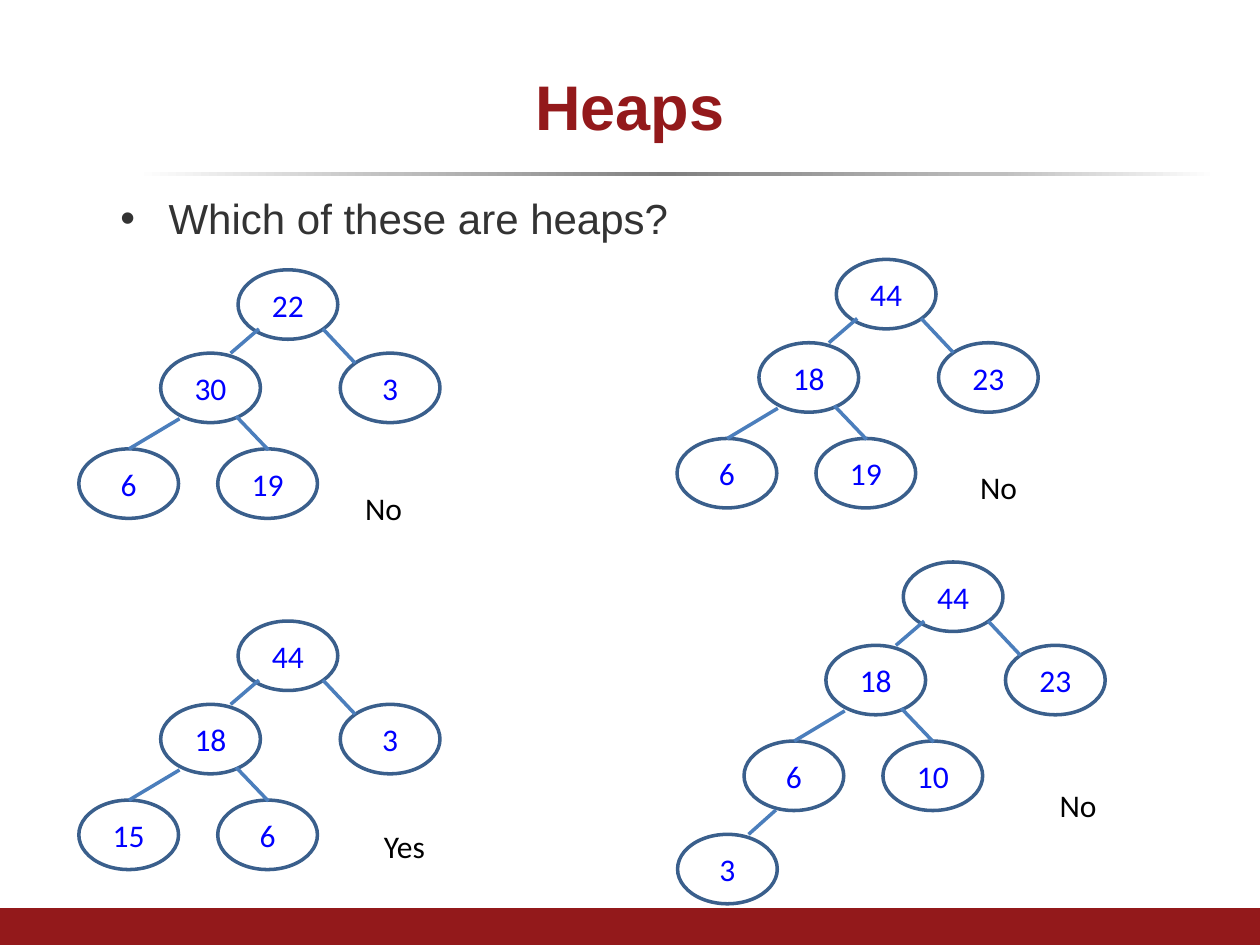
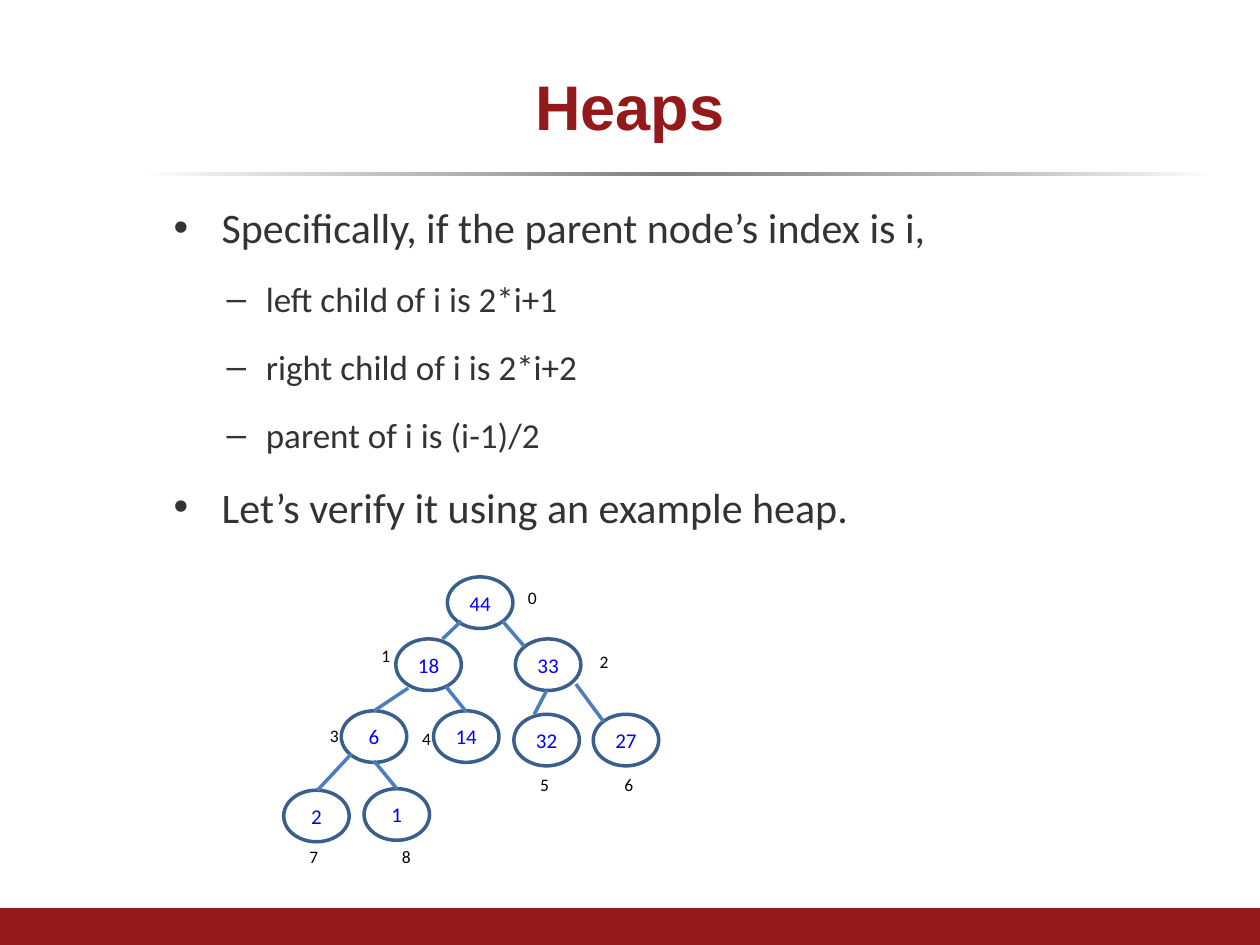
from dataclasses import dataclass
from lxml.etree import SubElement
from pptx import Presentation
from pptx.dml.color import RGBColor
from pptx.enum.shapes import MSO_CONNECTOR, MSO_SHAPE
from pptx.enum.text import MSO_ANCHOR, PP_ALIGN
from pptx.oxml.ns import qn
from pptx.util import Cm, Pt


@dataclass(frozen=True)
class Theme:
    crimson: str = "93191B"
    body: str = "333333"
    black: str = "000000"
    node_text: str = "0000FF"
    node_line: str = "3A5F8C"
    edge: str = "4B7EBC"
    rule: tuple = ((0, "FFFFFF"), (24, "BFBFBF"), (49, "808080"),
                   (80, "BFBFBF"), (100, "FFFFFF"))
    heading_font: str = "Arial"
    text_font: str = "Calibri"
    title: int = 36
    bullet: int = 24
    sub_bullet: int = 20
    verdict: int = 18
    small_node: int = 12
    index: int = 10
    stroke: int = 2


theme = Theme()


def add_text(slide, box, lines, size, color, font=theme.text_font):
    frame = slide.shapes.add_textbox(*map(Cm, box)).text_frame
    frame.word_wrap = True
    for position, line in enumerate(lines):
        paragraph = frame.paragraphs[0] if position == 0 else frame.add_paragraph()
        run = paragraph.add_run()
        run.text = line
        run.font.size = Pt(size)
        run.font.name = font
        run.font.color.rgb = RGBColor.from_string(color)
    return frame


def add_tree(slide, root, node_size, text_size, nodes, edges):
    left, top = root
    for value, x, y in nodes:
        node = slide.shapes.add_shape(
            MSO_SHAPE.OVAL, Cm(left + x), Cm(top + y), *map(Cm, node_size))
        node.shadow.inherit = False
        node.fill.background()
        node.line.color.rgb = RGBColor.from_string(theme.node_line)
        node.line.width = Pt(theme.stroke)
        frame = node.text_frame
        frame.margin_left = frame.margin_right = 0
        frame.margin_top = frame.margin_bottom = 0
        frame.vertical_anchor = MSO_ANCHOR.MIDDLE
        frame.paragraphs[0].alignment = PP_ALIGN.CENTER
        run = frame.paragraphs[0].add_run()
        run.text = value
        run.font.size = Pt(text_size)
        run.font.name = theme.text_font
        run.font.color.rgb = RGBColor.from_string(theme.node_text)
    for x1, y1, x2, y2 in edges:
        edge = slide.shapes.add_connector(
            MSO_CONNECTOR.STRAIGHT, Cm(left + x1), Cm(top + y1),
            Cm(left + x2), Cm(top + y2))
        edge.line.color.rgb = RGBColor.from_string(theme.edge)
        edge.line.width = Pt(theme.stroke)
        SubElement(edge._element.spPr, qn("a:effectLst"))


deck = Presentation()
deck.slide_width, deck.slide_height = Cm(25.4), Cm(19.05)
quiz, indexing = [deck.slides.add_slide(deck.slide_layouts[6]) for _ in range(2)]

for slide in (quiz, indexing):
    rule = slide.shapes.add_shape(
        MSO_SHAPE.RECTANGLE, Cm(2.74), Cm(3.47), Cm(21.8), Cm(0.08))
    footer = slide.shapes.add_shape(
        MSO_SHAPE.RECTANGLE, Cm(0), Cm(18.31), Cm(25.4), Cm(0.74))
    for band in (rule, footer):
        band.shadow.inherit = False
        band.line.fill.background()
    footer.fill.solid()
    footer.fill.fore_color.rgb = RGBColor.from_string(theme.crimson)
    rule.fill.gradient()
    rule.fill.gradient_angle = 0
    stops = rule._element.spPr.find(".//" + qn("a:gsLst"))
    for stop in list(stops):
        stops.remove(stop)
    for percent, color in theme.rule:
        stop = SubElement(stops, qn("a:gs"), pos=str(percent * 1000))
        SubElement(stop, qn("a:srgbClr"), val=color)
    heading = add_text(slide, (1.27, 0.76, 22.86, 2.72), ["Heaps"],
                       theme.title, theme.crimson, theme.heading_font)
    heading.vertical_anchor = MSO_ANCHOR.MIDDLE
    heading.paragraphs[0].alignment = PP_ALIGN.CENTER
    heading.paragraphs[0].runs[0].font.bold = True

question = add_text(quiz, (1.42, 3.76, 22.86, 14.4), ["Which of these are heaps?"],
                    theme.bullet, theme.body, theme.heading_font)
formulas = add_text(indexing, (2.49, 3.94, 21.59, 13.79), [
    "Specifically, if the parent node’s index is i,",
    "left child of i is 2*i+1",
    "right child of i is 2*i+2",
    "parent of i is (i-1)/2",
    "Let’s verify it using an example heap.",
], theme.bullet, theme.body)

for frame in (question, formulas):
    for position, paragraph in enumerate(frame.paragraphs):
        nested = 1 <= position <= 3
        paragraph.level = int(nested)
        paragraph.space_before = Pt(14.7 if position else 0)
        paragraph.runs[0].font.size = Pt(theme.sub_bullet if nested else theme.bullet)
        indent, hanging = (2.62, 0.79) if nested else (1.73, 0.97)
        properties = paragraph._p.get_or_add_pPr()
        properties.set("marL", str(Cm(indent)))
        properties.set("indent", str(-Cm(hanging)))
        SubElement(properties, qn("a:buFont"), typeface=theme.heading_font)
        SubElement(properties, qn("a:buChar"), char="–" if nested else "•")

tree_places = [(0, 0), (-1.56, 1.68), (2.06, 1.68), (-3.21, 3.61),
               (-0.41, 3.61), (-4.55, 5.49)]
tree_edges = [(0.42, 1.19, -0.15, 1.68), (1.71, 1.19, 2.36, 1.88),
              (-1.18, 3, -2.2, 3.61), (-0.04, 2.95, 0.61, 3.63),
              (-2.57, 5, -3.12, 5.49)]
candidates = [
    ((4.8, 5.44), "22 30 3 6 19", "No", (7.11, 9.73)),
    ((16.86, 5.23), "44 18 23 6 19", "No", (19.51, 9.32)),
    ((4.8, 12.52), "44 18 3 15 6", "Yes", (7.49, 16.54)),
    ((18.21, 11.33), "44 18 23 6 10 3", "No", (21.11, 15.72)),
]
for root, values, verdict, verdict_place in candidates:
    nodes = [(value, *place) for value, place in zip(values.split(), tree_places)]
    add_tree(quiz, root, (2.01, 1.4), theme.verdict, nodes,
             tree_edges[:len(nodes) - 1])
    add_text(quiz, (*verdict_place, 2.21, 1.02), [verdict], theme.verdict, theme.black)

heap_nodes = [
    ("44", 9.02, 11.63), ("18", 7.98, 12.88), ("33", 10.39, 12.88),
    ("6", 6.88, 14.33), ("14", 8.74, 14.33), ("32", 10.36, 14.4),
    ("27", 11.96, 14.4), ("2", 5.72, 15.93), ("1", 7.34, 15.9),
]
heap_edges = [
    (9.3, 12.52, 8.92, 12.88), (10.13, 12.52, 10.57, 13.03),
    (8.23, 13.87, 7.54, 14.33), (8.99, 13.84, 9.4, 14.35),
    (11.02, 13.92, 10.77, 14.4), (11.61, 13.79, 12.17, 14.55),
    (7.09, 15.19, 6.4, 15.93), (7.54, 15.34, 8, 15.9),
]
add_tree(indexing, (0, 0), (1.32, 1.04), theme.small_node, heap_nodes, heap_edges)

index_places = [(10.39, 11.71), (7.44, 12.88), (11.84, 13), (6.4, 14.5),
                (8.26, 14.55), (10.64, 15.47), (12.34, 15.47),
                (5.99, 16.92), (7.85, 16.94)]
for index, place in enumerate(index_places):
    add_text(indexing, (*place, 0.53, 0.69), [str(index)], theme.index, theme.black)

deck.save("out.pptx")
